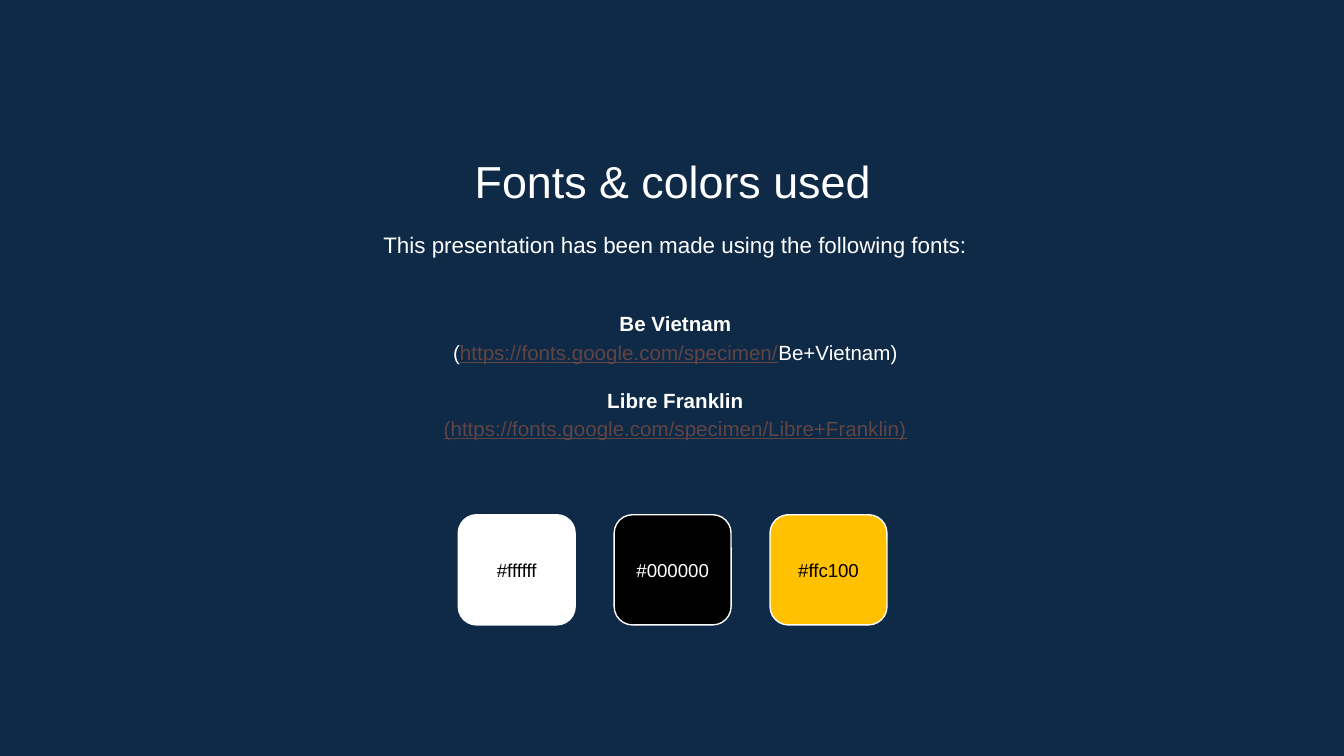
from pptx import Presentation
from pptx.dml.color import RGBColor
from pptx.enum import shapes, text
from pptx.util import Inches, Pt

NAVY = RGBColor(0x0E, 0x2A, 0x47)
WHITE = RGBColor(0xFF, 0xFF, 0xFF)
BLACK = RGBColor(0, 0, 0)
YELLOW = RGBColor(0xFF, 0xC1, 0x00)
LINK = RGBColor(0x61, 0x44, 0x44)
FONT = "Arial"


def set_frame(tf, anchor=text.MSO_ANCHOR.TOP):
    tf.word_wrap = True
    tf.auto_size = text.MSO_AUTO_SIZE.NONE
    tf.vertical_anchor = anchor
    tf.margin_left = tf.margin_right = Inches(0.1)
    tf.margin_top = tf.margin_bottom = Inches(0.1)


def format_paragraph(p, size, color=WHITE, bold=False, spacing=None):
    p.alignment = text.PP_ALIGN.CENTER
    if spacing:
        p.line_spacing = spacing
    p.font.name = FONT
    p.font.size = Pt(size)
    p.font.bold = bold
    p.font.color.rgb = color


def place_title(slide, x, y, w, h):
    sp = slide.shapes.title
    sp.left, sp.top, sp.width, sp.height = (Inches(v) for v in (x, y, w, h))
    set_frame(sp.text_frame)
    sp.text_frame.text = "Fonts & colors used"
    format_paragraph(sp.text_frame.paragraphs[0], 24)


def add_text(slide, x, y, w, h, anchor=text.MSO_ANCHOR.TOP):
    sp = slide.shapes.add_textbox(Inches(x), Inches(y), Inches(w), Inches(h))
    set_frame(sp.text_frame, anchor)
    return sp.text_frame


def add_intro(slide, x, y, w, h):
    p = add_text(slide, x, y, w, h).paragraphs[0]
    p.text = "This presentation has been made using the following fonts:"
    format_paragraph(p, 12, spacing=1.15)


def add_font_list(slide, x, y, w, h, fonts):
    """Font names in bold, each followed by its address; fonts holds
    (name, [(text, is_link), ...])."""
    tf = add_text(slide, x, y, w, h, text.MSO_ANCHOR.MIDDLE)
    for i, (name, address) in enumerate(fonts):
        p = tf.add_paragraph() if i else tf.paragraphs[0]
        p.text = name
        format_paragraph(p, 11, bold=True, spacing=1.15)
        if i:
            p.space_before = Pt(10.6)
        p = tf.add_paragraph()
        format_paragraph(p, 11, spacing=1.15)
        for part, is_link in address:
            r = p.add_run()
            r.text = part
            if is_link:
                r.font.underline = True
                r.font.color.rgb = LINK


def add_swatches(slide, x, y, w, h, pitch, colors):
    label_h = 0.48
    for i, (fill, label_color) in enumerate(colors):
        left = x + i * pitch
        sp = slide.shapes.add_shape(shapes.MSO_SHAPE.ROUNDED_RECTANGLE,
                                    Inches(left), Inches(y), Inches(w), Inches(h))
        sp.shadow.inherit = False
        sp.fill.solid()
        sp.fill.fore_color.rgb = fill
        sp.line.color.rgb = WHITE
        sp.line.width = Pt(0.75)
        # Colour code centred on the swatch
        tf = add_text(slide, left, y + (h - label_h) / 2, w, label_h,
                      text.MSO_ANCHOR.MIDDLE)
        p = tf.paragraphs[0]
        p.text = f"#{fill}".lower()
        format_paragraph(p, 10, label_color)


def main():
    prs = Presentation()
    # 16:9 slide
    prs.slide_width = Inches(10)
    prs.slide_height = prs.slide_width * 9 // 16
    slide = prs.slides.add_slide(prs.slide_layouts[5])
    slide.background.fill.solid()
    slide.background.fill.fore_color.rgb = NAVY

    # Heading and introduction
    place_title(slide, 1.15, 1.04, 7.71, 0.53)
    add_intro(slide, 1.17, 1.59, 7.71, 0.48)

    # Fonts
    add_font_list(slide, 1.17, 2.1, 7.71, 1.37, [
        ("Be Vietnam", [("(", False),
                        ("https://fonts.google.com/specimen/", True),
                        ("Be+Vietnam)", False)]),
        ("Libre Franklin",
         [("(https://fonts.google.com/specimen/Libre+Franklin)", True)]),
    ])

    # Colours
    add_swatches(slide, 3.41, 3.83, 0.87, 0.82, 1.16,
                 [(WHITE, BLACK), (BLACK, WHITE), (YELLOW, BLACK)])

    prs.save("out.pptx")


if __name__ == "__main__":
    main()
